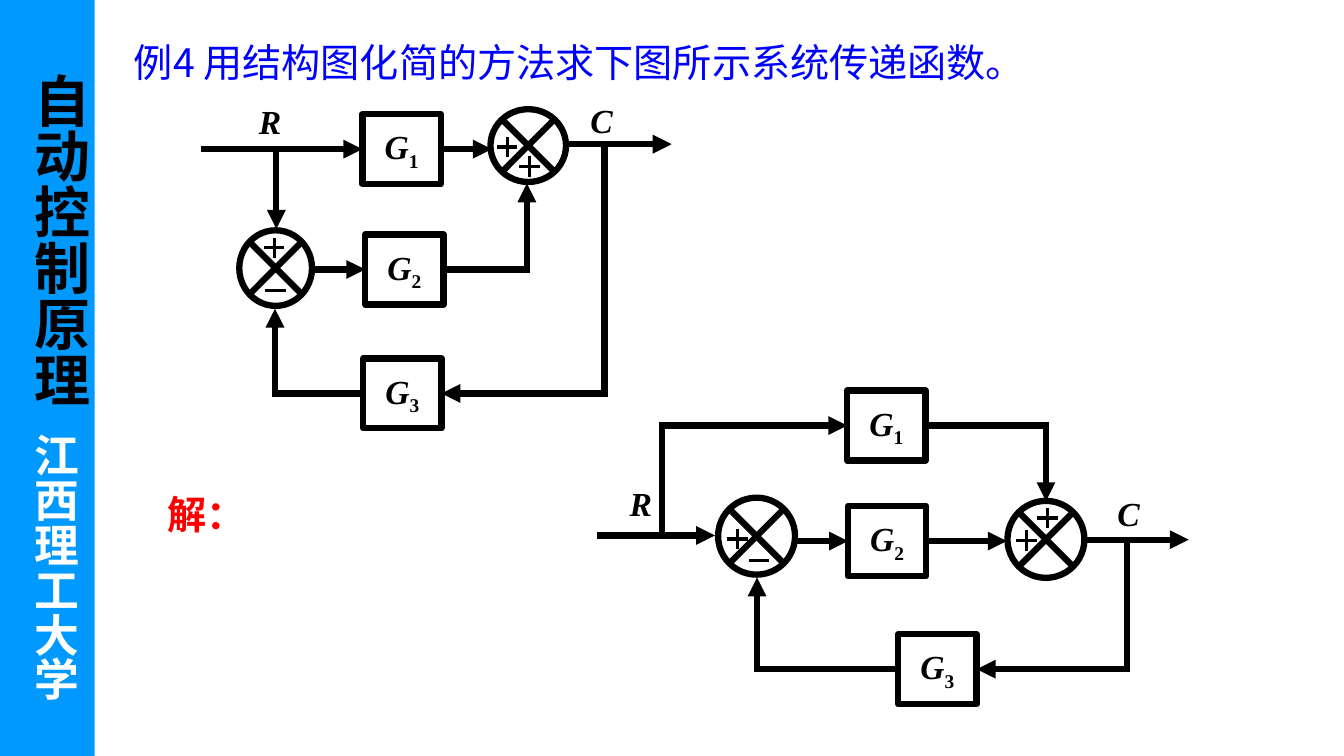
import itertools

import pptx
import pptx.dml.color
import pptx.enum.shapes
import pptx.enum.text
import pptx.oxml.ns
import pptx.util
from lxml import etree

Pt = pptx.util.Pt
qn = pptx.oxml.ns.qn
RGB = pptx.dml.color.RGBColor.from_string
SHAPE = pptx.enum.shapes.MSO_SHAPE
STRAIGHT = pptx.enum.shapes.MSO_CONNECTOR.STRAIGHT
ALIGN = pptx.enum.text.PP_ALIGN
ANCHOR = pptx.enum.text.MSO_ANCHOR

COLORS = {"ink": "000000", "title": "0000FF", "answer": "FF0000",
          "sidebar": "0099FF", "school": "FFFFFF"}
SERIF, CJK = "Times New Roman", "Noto Sans CJK SC"
LEFT, RIGHT = 1, 3
THICK, THIN = 4.5, 2.25

deck = pptx.Presentation()
deck.slide_width, deck.slide_height = Pt(960.5), Pt(540)
slide = deck.slides.add_slide(deck.slide_layouts[5])
shapes = slide.shapes


def style(paragraph, size, color, face, bold=True, italic=False):
    font = paragraph.font
    font.size, font.bold, font.italic = Pt(size), bold, italic
    font.color.rgb = RGB(COLORS[color])
    font.name = face
    etree.SubElement(font._element, qn("a:ea")).set("typeface", CJK)


def wire(*stops, width=THICK, arrow=True):
    """Join stops, each (x, y) or (box, side), with an arrowhead at the last."""
    for start, end in itertools.pairwise(stops):
        line = shapes.add_connector(STRAIGHT, 0, 0, 0, 0)
        if isinstance(start[0], (int, float)):
            line.begin_x, line.begin_y = Pt(start[0]), Pt(start[1])
        else:
            line.begin_connect(*start)
        if isinstance(end[0], (int, float)):
            line.end_x, line.end_y = Pt(end[0]), Pt(end[1])
        else:
            line.end_connect(*end)
        line.line.width = Pt(width)
        line.line.color.rgb = RGB(COLORS["ink"])
        stroke = line.line._get_or_add_ln()
        stroke.set("cap", "sq")
        if arrow and end is stops[-1]:
            etree.SubElement(stroke, qn("a:tailEnd")).set("type", "triangle")
        etree.SubElement(line._element.spPr, qn("a:effectLst"))


# Heading
title = shapes.title
title.left, title.top, title.width, title.height = Pt(88.5), Pt(23.5), Pt(778), Pt(51)
heading = title.text_frame
heading.text = "例4 用结构图化简的方法求下图所示系统传递函数。"
heading.auto_size = pptx.enum.text.MSO_AUTO_SIZE.NONE
heading.vertical_anchor = ANCHOR.TOP
heading.paragraphs[0].alignment = ALIGN.LEFT
style(heading.paragraphs[0], 28, "title", CJK, bold=False)

# Sidebar
sidebar = shapes.add_shape(SHAPE.RECTANGLE, 0, 0, Pt(67.7), Pt(540))
sidebar.shadow.inherit = False
sidebar.fill.solid()
sidebar.fill.fore_color.rgb = RGB(COLORS["sidebar"])
sidebar.line.fill.background()

for words, center, top, size, color in [
    ("自动控制原理", 43, 52, 40, "ink"),
    ("江西理工大学", 39.5, 309.5, 32, "school"),
]:
    column = shapes.add_textbox(Pt(center - 25), Pt(top), Pt(50), Pt(6 * size + 6)).text_frame
    column.margin_left = column.margin_right = column.margin_top = column.margin_bottom = 0
    column.vertical_anchor = ANCHOR.MIDDLE
    column._txBody.bodyPr.set("vert", "eaVert")
    column.text = words
    style(column.paragraphs[0], size, color, CJK)

# Signal names and answer mark
for words, left, top, size, color, italic in [
    ("R", 185, 72, 24, "ink", True),
    ("C", 422, 71, 24, "ink", True),
    ("R", 450, 345, 24, "ink", True),
    ("C", 798.5, 352, 24, "ink", True),
    ("解：", 120, 350, 28, "answer", False),
]:
    label = shapes.add_textbox(Pt(left), Pt(top), Pt(66 if size == 28 else 24), Pt(32)).text_frame
    label.margin_left = label.margin_right = label.margin_top = label.margin_bottom = 0
    label.text = words
    style(label.paragraphs[0], size, color, SERIF, italic=italic)

# Transfer function blocks, by centre
blocks = []
for index, x, y in [
    ("1", 287, 106.5), ("2", 289, 192.5), ("3", 287.5, 281),
    ("1", 633.5, 304), ("2", 634, 386.5), ("3", 670, 478),
]:
    block = shapes.add_shape(SHAPE.RECTANGLE, Pt(x - 28), Pt(y - 25), Pt(56), Pt(50))
    block.shadow.inherit = False
    block.fill.background()
    block.line.width = Pt(THICK)
    block.line.color.rgb = RGB(COLORS["ink"])
    frame = block.text_frame
    frame.margin_left = frame.margin_right = frame.margin_top = frame.margin_bottom = 0
    frame.vertical_anchor = ANCHOR.MIDDLE
    gain = frame.paragraphs[0]
    gain.alignment = ALIGN.CENTER
    style(gain, 24, "ink", SERIF)
    gain.add_run().text = "G"
    gain.runs[0].font.italic = True
    subscript = gain.add_run()
    subscript.text = index
    subscript._r.get_or_add_rPr().set("baseline", "-25000")
    blocks.append(block)

# Summing junctions: centre, size, signs with their centres
for x, y, width, height, signs in [
    (197, 191.5, 52, 54, [("+", 196, 177), ("-", 197, 207.5)]),
    (377.5, 104, 54, 52, [("+", 362.5, 105), ("+", 378.5, 119)]),
    (540.7, 383, 55, 55, [("+", 527, 385), ("-", 542.5, 400.5)]),
    (747.5, 385.3, 55, 55, [("+", 733.5, 386), ("+", 748.5, 370)]),
]:
    junction = shapes.add_shape(SHAPE.OVAL, Pt(x - width / 2), Pt(y - height / 2),
                                Pt(width), Pt(height))
    junction.shadow.inherit = False
    junction.fill.background()
    junction.line.width = Pt(THICK)
    junction.line.color.rgb = RGB(COLORS["ink"])
    for rise in (-16.5, 16.5):
        wire((x - 16.5, y - rise), (x + 16.5, y + rise), arrow=False)
    for sign, sx, sy in signs:
        wire((sx - 6.2, sy), (sx + 6.2, sy), width=THIN, arrow=False)
        if sign == "+":
            wire((sx, sy - 6.2), (sx, sy + 6.2), width=THIN, arrow=False)

# Signal paths of the given diagram, then of the simplified one
g1, g2, g3, h1, h2, h3 = blocks
for stops in [
    [(146, 106.5), (g1, LEFT)],
    [(g1, RIGHT), (351.5, 106.5)],
    [(197.5, 106.5), (197.5, 163.5)],
    [(224, 192.5), (g2, LEFT)],
    [(g2, RIGHT), (376.5, 192.5), (376.5, 131)],
    [(407.5, 103), (480, 103)],
    [(432, 103), (432, 281), (g3, RIGHT)],
    [(g3, LEFT), (196.5, 281), (196.5, 220.5)],
    [(429, 382.5), (511, 382.5)],
    [(473, 382.5), (473, 304), (h1, LEFT)],
    [(h1, RIGHT), (747.5, 304), (747.5, 358)],
    [(569, 386.5), (h2, LEFT)],
    [(h2, RIGHT), (719.5, 386.5)],
    [(777, 385.5), (849.5, 385.5)],
    [(805.5, 385.5), (805.5, 478), (h3, RIGHT)],
    [(h3, LEFT), (541, 478), (541, 412.5)],
]:
    wire(*stops)

deck.save("out.pptx")
